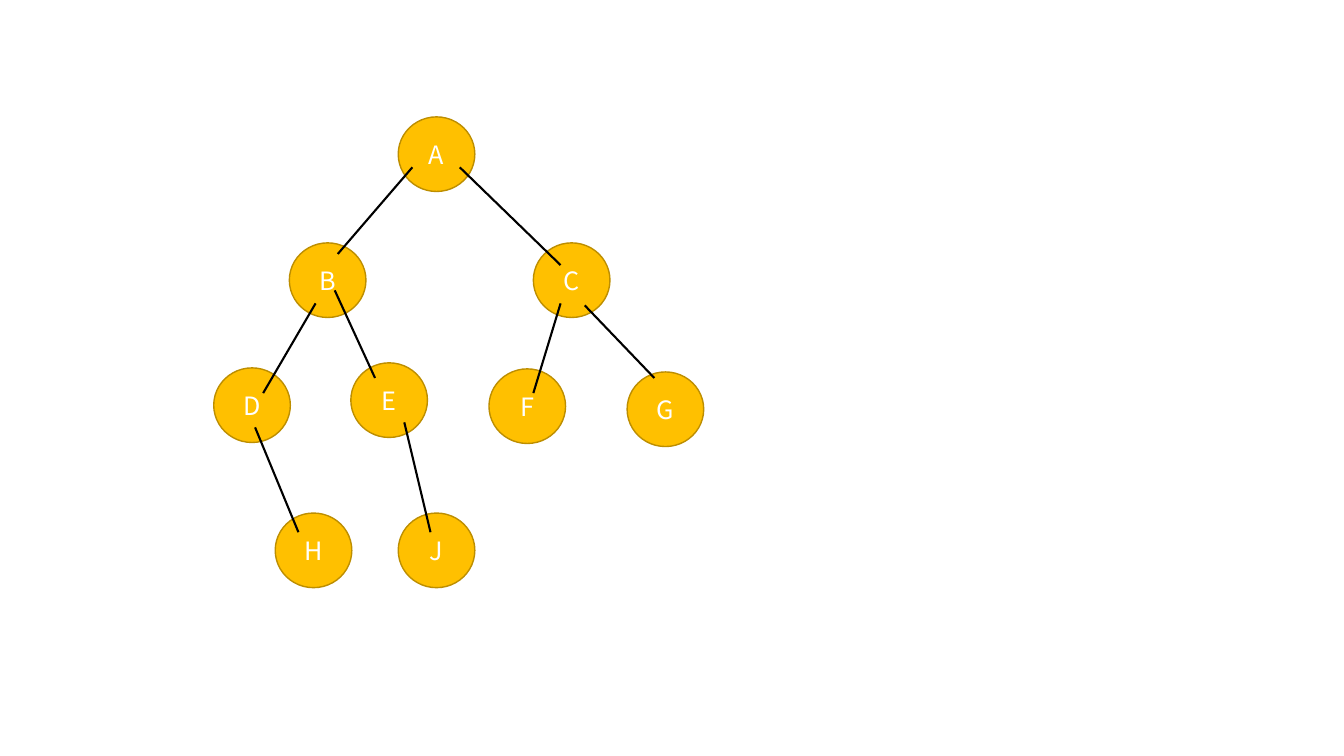
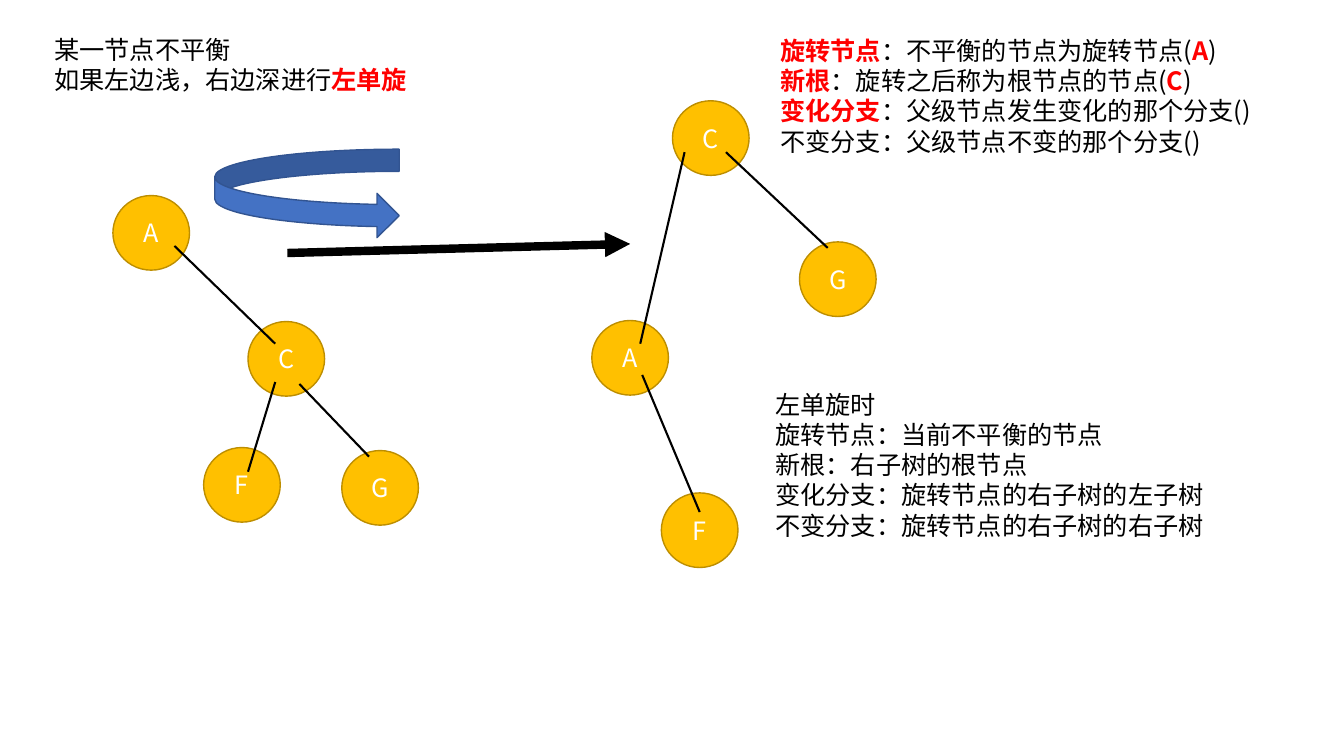
import pptx
import pptx.util
from pptx.dml.color import RGBColor
from pptx.enum.dml import MSO_LINE_DASH_STYLE
from pptx.enum.shapes import MSO_CONNECTOR, MSO_SHAPE
from pptx.enum.text import MSO_ANCHOR, PP_ALIGN
from pptx.oxml.ns import qn
from lxml import etree

PX = 9144  # 100 px to the inch
WIDE, HIGH = 1333, 750
NODE_W, NODE_H = 76, 74
FONT = "Noto Sans CJK SC"
SIZE = 18

GOLD = RGBColor(0xFF, 0xC0, 0x00)
RIM = RGBColor(0xBD, 0x8E, 0x00)
BLUE = RGBColor(0x44, 0x72, 0xC4)
NAVY = RGBColor(0x32, 0x54, 0x91)
RED = RGBColor(0xFF, 0x00, 0x00)
BLACK = RGBColor(0x00, 0x00, 0x00)
WHITE = RGBColor(0xFF, 0xFF, 0xFF)

# Nodes: left, top. Edges: x and y of both ends.
FULL = {
    "nodes": {
        "A": (395, 116), "B": (287, 241), "C": (529, 241),
        "D": (212, 365), "E": (348, 360), "F": (485, 366),
        "G": (622, 369), "H": (273, 509), "J": (395, 509),
    },
    "edges": {
        "AB": (409, 166, 335, 252), "BD": (313, 301, 261, 390),
        "CF": (556, 301, 529, 390), "AC": (456, 166, 556, 263),
        "CG": (580, 303, 649, 375), "DH": (253, 424, 296, 528),
        "EJ": (401, 419, 427, 528), "BE": (332, 288, 372, 375),
    },
}
TURNED = {
    "nodes": {"A": (587, 318), "C": (667, 100), "F": (656, 489), "G": (793, 240)},
    "edges": {
        "AF": (637, 372, 694, 508), "CA": (679, 151, 635, 341),
        "CG": (720, 151, 821, 246),
    },
}
BRANCH = "ACFG"
SHIFT = (-283, 78)
STEP = (285, 251, 625, 242)
CURVE = (213, 148, 183, 88)

# Each line alternates plain and red parts, plain first.
NOTES = [
    ((44, 29, 395, 71), [
        ("某一节点不平衡",),
        ("如果左边浅，右边深进行", "左单旋"),
    ]),
    ((764, 30, 569, 131), [
        ("", "旋转节点", "：不平衡的节点为旋转节点(", "A", ")"),
        ("", "新根", "：旋转之后称为根节点的节点(", "C", ")"),
        ("", "变化分支", "：父级节点发生变化的那个分支()"),
        ("不变分支：父级节点不变的那个分支()",),
    ]),
    ((759, 381, 569, 162), [
        ("左单旋时",),
        ("旋转节点：当前不平衡的节点",),
        ("新根：右子树的根节点",),
        ("变化分支：旋转节点的右子树的左子树",),
        ("不变分支：旋转节点的右子树的右子树",),
    ]),
]


def emu(box):
    return [pptx.util.Emu(n * PX) for n in box]


def style(run, color, bold=False):
    font = run.font
    font.size = pptx.util.Pt(SIZE)
    font.name = FONT
    font.bold = bold
    font.color.rgb = color
    font_ea = etree.SubElement(run._r.get_or_add_rPr(), qn("a:ea"))
    font_ea.set("typeface", FONT)


def add_form(slide, kind, box, fill, rim):
    form = slide.shapes.add_shape(kind, *emu(box))
    form.shadow.inherit = False
    form.fill.solid()
    form.fill.fore_color.rgb = fill
    form.line.color.rgb = rim
    form.line.width = pptx.util.Pt(1)
    return form


def add_node(slide, name, x, y):
    node = add_form(slide, MSO_SHAPE.OVAL, (x, y, NODE_W, NODE_H), GOLD, RIM)
    frame = node.text_frame
    frame.text = name
    frame.vertical_anchor = MSO_ANCHOR.MIDDLE
    para = frame.paragraphs[0]
    para.alignment = PP_ALIGN.CENTER
    style(para.runs[0], WHITE)


def add_line(slide, ends, width=1.5, arrow=False):
    line = slide.shapes.add_connector(MSO_CONNECTOR.STRAIGHT, *emu(ends))
    line.line.color.rgb = BLACK
    line.line.width = pptx.util.Pt(width)
    if arrow:
        tip = etree.SubElement(line.line._get_or_add_ln(), qn("a:tailEnd"))
        tip.set("type", "triangle")
    etree.SubElement(line._element.spPr, qn("a:effectLst"))


def add_tree(slide, tree):
    for name, spot in tree["nodes"].items():
        add_node(slide, name, *spot)
    for ends in tree["edges"].values():
        add_line(slide, ends)


def cut(tree, names, shift):
    """Return the part of a tree that holds the named nodes, moved by shift."""
    dx, dy = shift
    return {
        "nodes": {k: (x + dx, y + dy)
                  for k, (x, y) in tree["nodes"].items() if k in names},
        "edges": {k: (a + dx, b + dy, c + dx, d + dy)
                  for k, (a, b, c, d) in tree["edges"].items()
                  if set(k) <= set(names)},
    }


def add_note(slide, box, lines):
    frame = slide.shapes.add_textbox(*emu(box)).text_frame
    frame.word_wrap = True
    for i, parts in enumerate(lines):
        para = frame.add_paragraph() if i else frame.paragraphs[0]
        for j, part in enumerate(parts):
            if part:
                run = para.add_run()
                run.text = part
                red = j % 2 == 1
                style(run, RED if red else BLACK, red)


def main():
    deck = pptx.Presentation()
    deck.slide_width, deck.slide_height = emu((WIDE, HIGH))
    blank = deck.slide_layouts[6]

    add_tree(deck.slides.add_slide(blank), FULL)

    turn = deck.slides.add_slide(blank)
    add_tree(turn, cut(FULL, BRANCH, SHIFT))
    add_line(turn, STEP, 6, arrow=True)
    add_tree(turn, TURNED)
    add_form(turn, MSO_SHAPE.CURVED_RIGHT_ARROW, CURVE, BLUE, NAVY)
    for box, lines in NOTES:
        add_note(turn, box, lines)

    deck.save("out.pptx")


if __name__ == "__main__":
    main()
